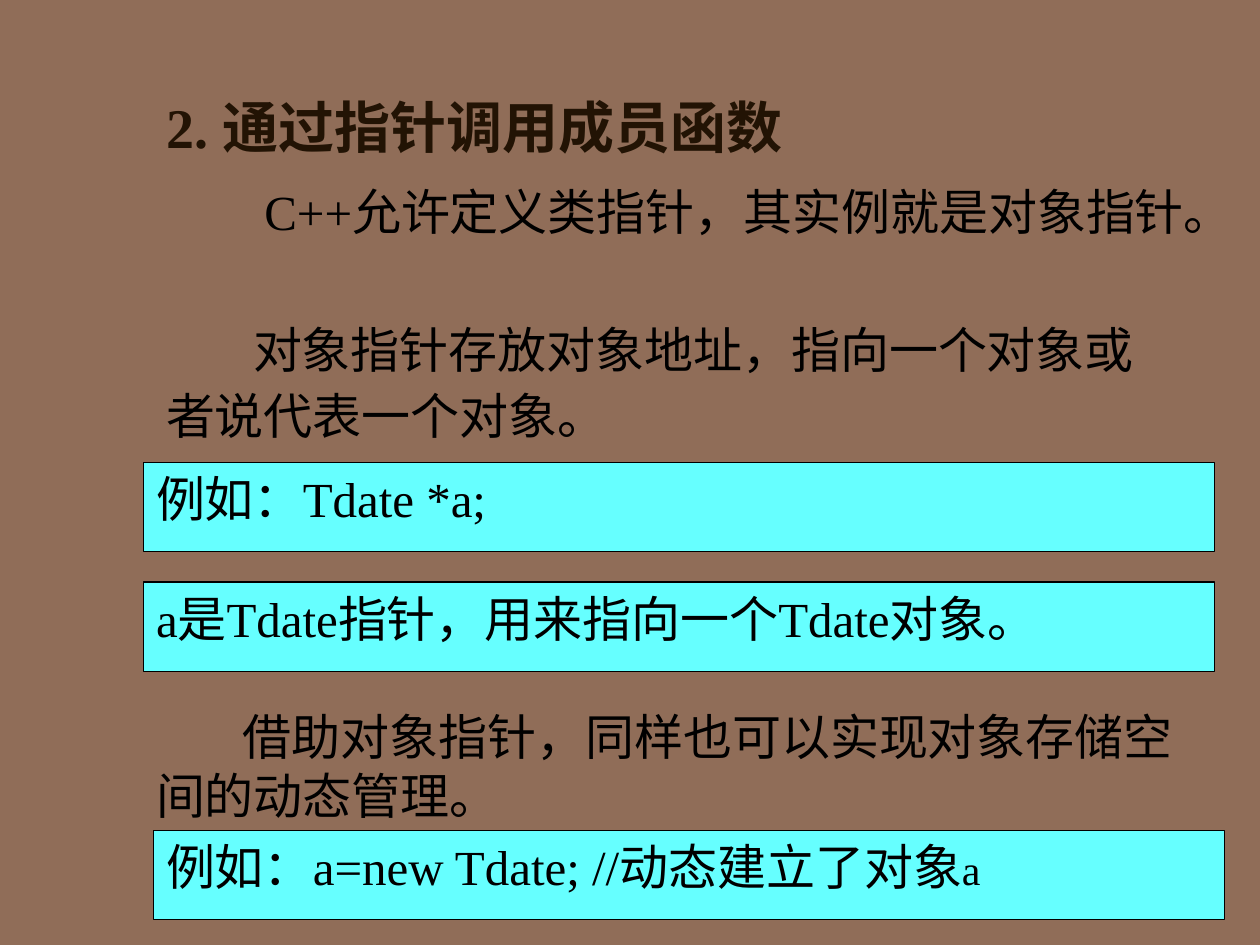
from dataclasses import dataclass

from pptx import Presentation
from pptx.dml.color import RGBColor
from pptx.enum.shapes import MSO_SHAPE
from pptx.enum.text import MSO_ANCHOR, PP_ALIGN
from pptx.util import Inches, Pt


@dataclass(frozen=True)
class Theme:
    font: str = "Times New Roman"
    back: str = "906D58"
    head: str = "221304"
    ink: str = "000000"
    panel: str = "66FFFF"
    title: int = 32
    body: int = 28
    small: int = 24
    tall: int = 44


THEME = Theme()


def color(code):
    return RGBColor.from_string(code)


def write(shape, runs, ink=THEME.ink, indent=0, anchor=MSO_ANCHOR.TOP):
    """Fill a shape with one paragraph of (text, size, bold) runs."""
    frame = shape.text_frame
    frame.word_wrap = True
    frame.vertical_anchor = anchor
    para = frame.paragraphs[0]
    para.alignment = PP_ALIGN.LEFT
    if indent:
        para._p.get_or_add_pPr().set("indent", str(Inches(indent)))
    for text, size, bold in runs:
        run = para.add_run()
        run.text = text
        font = run.font
        font.name = THEME.font
        font.size = Pt(size)
        font.bold = bold
        font.color.rgb = color(ink)


def place(box):
    return [Inches(side) for side in box]


def add_title(slide, box, text):
    """The tall closing space sets the height of the heading line."""
    shape = slide.shapes.add_textbox(*place(box))
    runs = [(text, THEME.title, True), (" ", THEME.tall, False)]
    write(shape, runs, THEME.head, anchor=MSO_ANCHOR.MIDDLE)


def add_prose(slide, box, text, indent, *tail):
    shape = slide.shapes.add_textbox(*place(box))
    write(shape, [(text, THEME.body, False), *tail], indent=indent)


def add_panel(slide, box, text, *tail):
    shape = slide.shapes.add_shape(MSO_SHAPE.RECTANGLE, *place(box))
    shape.shadow.inherit = False
    shape.fill.solid()
    shape.fill.fore_color.rgb = color(THEME.panel)
    shape.line.color.rgb = color(THEME.ink)
    shape.line.width = Pt(0.75)
    write(shape, [(text, THEME.body, False), *tail])


def main():
    deck = Presentation()
    deck.slide_width, deck.slide_height = Inches(10), Inches(7.5)
    slide = deck.slides.add_slide(deck.slide_layouts[6])
    slide.background.fill.solid()
    slide.background.fill.fore_color.rgb = color(THEME.back)

    left, inner, width, height = 1.14, 1.22, 8.5, 0.71
    add_title(slide, (inner, 0.52, 8.44, 0.82), "2. 通过指针调用成员函数")
    add_prose(slide, (inner, 1.39, width, 1.02),
              "C++允许定义类指针，其实例就是对象指针。", 0.78)
    add_prose(slide, (inner, 2.49, 8.03, 0.95),
              "对象指针存放对象地址，指向一个对象或者说代表一个对象。", 0.69,
              (" ", THEME.title, False))
    add_panel(slide, (left, 3.67, width, height), "例如：Tdate *a;")
    add_panel(slide, (left, 4.62, width, height),
              "a是Tdate指针，用来指向一个Tdate对象。")
    add_prose(slide, (left, 5.56, width, 0.92),
              "借助对象指针，同样也可以实现对象存储空间的动态管理。", 0.69)
    add_panel(slide, (inner, 6.59, width, height),
              "例如：a=new Tdate; //动态建立了对象", ("a", THEME.small, False))
    deck.save("out.pptx")


if __name__ == "__main__":
    main()
